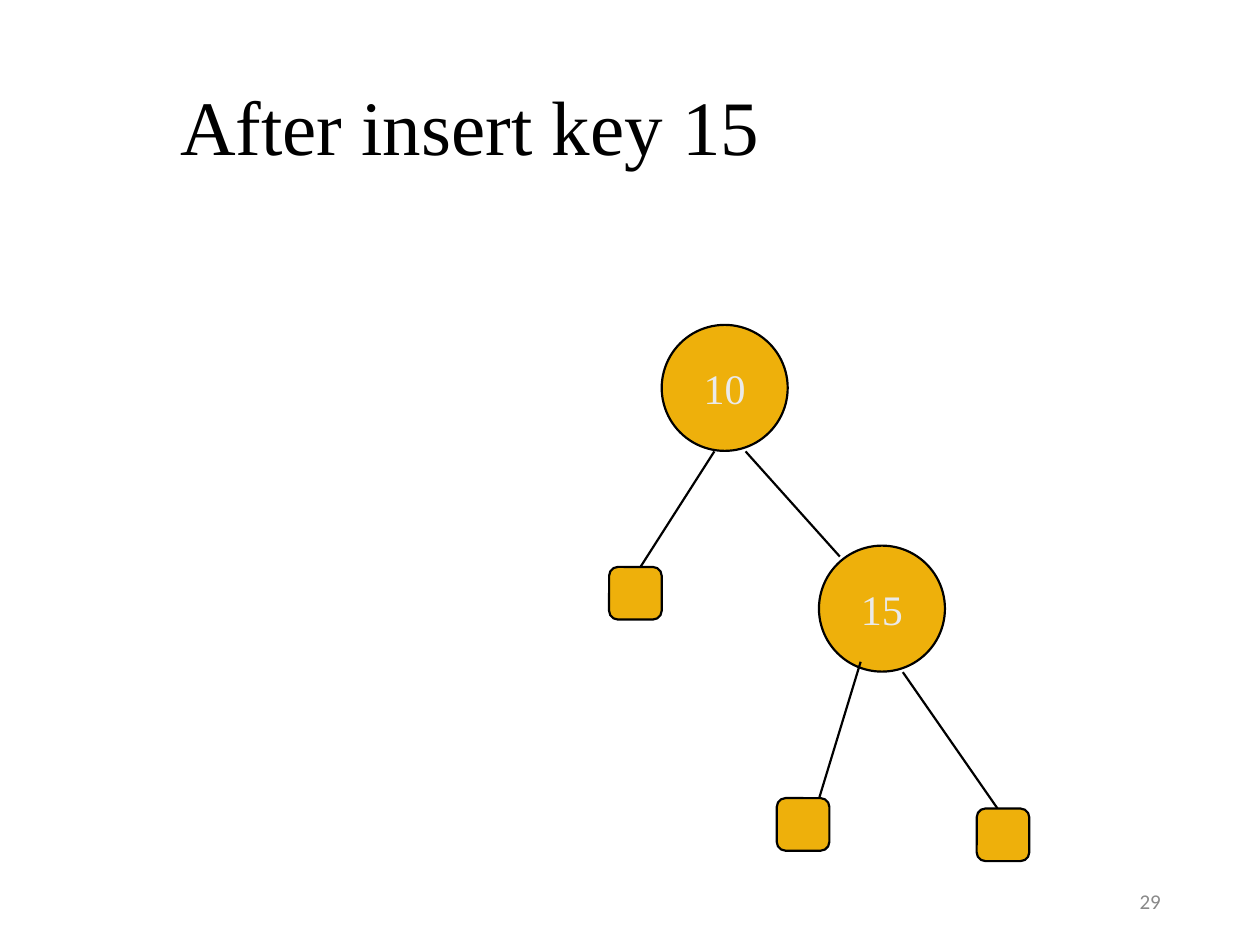
from pptx import Presentation
from pptx import util as u
from pptx.dml.color import RGBColor
from pptx.enum import shapes, text
from pptx.oxml.ns import qn
from lxml import etree

GOLD, BLACK, PALE, GREY = "EEB00B", "000000", "EAEAEA", "898989"
SERIF = "Times New Roman"
NODE_SIZE, LEAF_SIZE = 2.54, 1.06

# Positions in centimetres
NODES = [("10", 13.34, 6.55), ("15", 16.51, 11.0)]
LEAVES = [(12.28, 11.43), (15.66, 16.09), (19.69, 16.3)]
EDGES = [
    (14.4, 9.1, 12.91, 11.43),
    (15.03, 9.1, 16.93, 11.22),
    (17.35, 13.34, 16.51, 16.1),
    (18.2, 13.55, 20.11, 16.3),
]


def rgb(value):
    return RGBColor.from_string(value)


def write(sp, content, size, color, font=SERIF,
          align=text.PP_ALIGN.LEFT, wrap=True):
    tf = sp.text_frame
    tf.word_wrap = wrap
    tf.vertical_anchor = text.MSO_ANCHOR.MIDDLE
    p = tf.paragraphs[0]
    p.alignment = align
    r = p.add_run()
    r.text = content
    r.font.name = font
    r.font.size = u.Pt(size)
    r.font.color.rgb = rgb(color)


def add_text(s, content, left, top, width, height, **fmt):
    sp = s.shapes.add_textbox(u.Cm(left), u.Cm(top), u.Cm(width), u.Cm(height))
    write(sp, content, **fmt)


def set_line(line):
    line.color.rgb = rgb(BLACK)
    line.width = u.Pt(1.25)


def add_gold_shape(s, kind, left, top, size):
    sp = s.shapes.add_shape(kind, u.Cm(left), u.Cm(top), u.Cm(size), u.Cm(size))
    sp.shadow.inherit = False
    sp.fill.solid()
    sp.fill.fore_color.rgb = rgb(GOLD)
    set_line(sp.line)
    return sp


def add_node(s, key, left, top):
    sp = add_gold_shape(s, shapes.MSO_SHAPE.OVAL, left, top, NODE_SIZE)
    write(sp, key, size=24, color=PALE, align=text.PP_ALIGN.CENTER, wrap=False)


def add_leaf(s, left, top):
    add_gold_shape(s, shapes.MSO_SHAPE.ROUNDED_RECTANGLE, left, top, LEAF_SIZE)


def add_edge(s, *ends):
    line = s.shapes.add_connector(shapes.MSO_CONNECTOR.STRAIGHT,
                                  *(u.Cm(v) for v in ends))
    set_line(line.line)
    etree.SubElement(line._element.spPr, qn("a:effectLst"))


def main():
    prs = Presentation()
    prs.slide_width, prs.slide_height = u.Cm(25.4), u.Cm(19.05)
    s = prs.slides.add_slide(prs.slide_layouts[6])

    # Title
    add_text(s, "After insert key 15", 3.38, 0.84, 21.59, 3.35,
             size=44, color=BLACK)

    # Tree
    for node in NODES:
        add_node(s, *node)
    for leaf in LEAVES:
        add_leaf(s, *leaf)
    for edge in EDGES:
        add_edge(s, *edge)

    # Slide number
    add_text(s, "29", 17.93, 17.65, 5.72, 1.02, size=12, color=GREY,
             font="Calibri", align=text.PP_ALIGN.RIGHT)

    prs.save("out.pptx")


if __name__ == "__main__":
    main()
